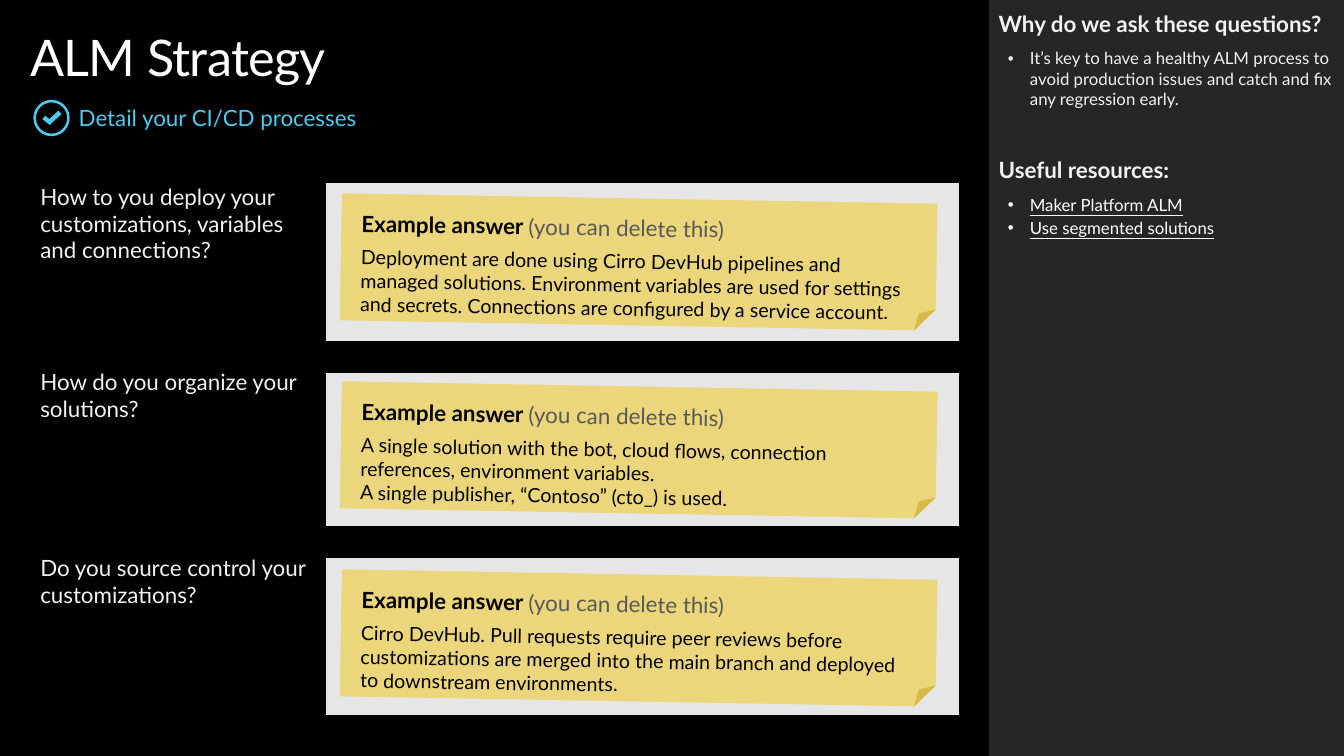
from dataclasses import dataclass

from lxml.etree import SubElement
from pptx import Presentation
from pptx.dml.color import RGBColor
from pptx.enum.shapes import MSO_SHAPE as Shape
from pptx.enum.text import MSO_ANCHOR as Anchor, PP_ALIGN as Align
from pptx.oxml import parse_xml
from pptx.oxml.ns import nsdecls, qn
from pptx.util import Pt


@dataclass(frozen=True)
class Theme:
    """Colours, type sizes and font of the slide."""
    font: str = "Lato"
    black: str = "000000"
    white: str = "FFFFFF"
    pale: str = "F2F2F2"
    panel: str = "262626"
    accent: str = "4CCBED"
    answer: str = "E6E6E6"
    note: str = "F2C811"
    hint: str = "595959"
    title: int = 36
    heading: int = 16
    body: int = 14
    small: int = 12


THEME = Theme()
NO_TABLE_STYLE = "{2D5ABB26-0587-4C30-8999-92F81FD0307C}"
ROW_HEIGHT, SPACER_HEIGHT = 115, 17.5
NOTE_PITCH = 134.3

QUESTIONS = [
    ("How to you deploy your customizations, variables and connections?",
     ["Deployment are done using Cirro DevHub pipelines and managed solutions. "
      "Environment variables are used for settings and secrets. "
      "Connections are configured by a service account."]),
    ("How do you organize your solutions?",
     ["A single solution with the bot, cloud flows, connection references, environment variables.",
      "A single publisher, “Contoso” (cto_) is used."]),
    ("Do you source control your customizations?",
     ["Cirro DevHub. Pull requests require peer reviews before customizations are merged "
      "into the main branch and deployed to downstream environments."]),
]
REASON = ("It’s key to have a healthy ALM process to avoid production issues "
          "and catch and fix any regression early.")
RESOURCES = ["Maker Platform ALM", "Use segmented solutions"]


def color(value):
    """Turn a hex string into a colour."""
    return RGBColor.from_string(value)


def add_run(paragraph, text, size, ink, bold=False, underline=False):
    """Append one formatted run and return it."""
    run = paragraph.add_run()
    run.text = text
    run.font.name, run.font.size = THEME.font, Pt(size)
    run.font.bold, run.font.underline = bold, underline
    run.font.color.rgb = color(ink)
    return run


def space(paragraph, before=0, after=0):
    """Set paragraph spacing and left alignment."""
    paragraph.alignment = Align.LEFT
    paragraph.space_before, paragraph.space_after = Pt(before), Pt(after)


def set_frame(frame, horizontal=0, vertical=0, anchor=Anchor.TOP):
    """Set wrapping, margins and anchor of a text frame."""
    frame.word_wrap = True
    frame.margin_left = frame.margin_right = Pt(horizontal)
    frame.margin_top = frame.margin_bottom = Pt(vertical)
    frame.vertical_anchor = anchor


def paint(shape, fill):
    """Give a shape a plain fill without line or shadow."""
    shape.shadow.inherit = False
    shape.fill.solid()
    shape.fill.fore_color.rgb = color(fill)
    shape.line.fill.background()


def add_bullet(paragraph):
    """Make a paragraph a hanging bullet."""
    properties = paragraph._p.get_or_add_pPr()
    properties.set("marL", str(Pt(22.3)))
    properties.set("indent", str(Pt(-15.8)))
    SubElement(properties, qn("a:buFont"), typeface="Arial")
    SubElement(properties, qn("a:buChar"), char="•")


def add_check_icon(slide, left, top, size):
    """Draw a ring with a check mark in the given square."""
    ring = slide.shapes.add_shape(Shape.DONUT, Pt(left), Pt(top), Pt(size), Pt(size))
    ring.adjustments[0] = 0.07
    paint(ring, THEME.accent)
    outline = [(0.69, 0.3), (0.44, 0.53), (0.33, 0.44), (0.25, 0.53),
               (0.42, 0.67), (0.47, 0.69), (0.5, 0.64), (0.78, 0.39)]
    points = [(Pt(left + x * size), Pt(top + y * size)) for x, y in outline]
    builder = slide.shapes.build_freeform(*points[0])
    builder.add_line_segments(points[1:])
    paint(builder.convert_to_shape(), THEME.accent)


def add_header(slide, left, top, width):
    """Place the title, the check icon and the subtitle."""
    title = slide.shapes.title
    title.left, title.top, title.width, title.height = Pt(left), Pt(top), Pt(width), Pt(44)
    set_frame(title.text_frame)
    paragraph = title.text_frame.paragraphs[0]
    space(paragraph)
    run = add_run(paragraph, "ALM Strategy", THEME.title, THEME.white)
    run._r.get_or_add_rPr().set("spc", "-50")
    add_check_icon(slide, left + 2.2, top + 52.6, 26)
    subtitle = slide.shapes.add_textbox(Pt(left + 34.6), Pt(top + 55.5), Pt(width - 34.6), Pt(19.4))
    set_frame(subtitle.text_frame, anchor=Anchor.MIDDLE)
    add_run(subtitle.text_frame.paragraphs[0], "Detail your CI/CD processes",
            THEME.heading, THEME.accent)


def add_sidebar(slide, left, top, width, height):
    """Place the dark panel with the reason and the resources."""
    box = Pt(left), Pt(top), Pt(width), Pt(height)
    paint(slide.shapes.add_shape(Shape.RECTANGLE, *box), THEME.panel)
    frame = slide.shapes.add_textbox(*box).text_frame
    set_frame(frame, 7.2, 7.2)
    sections = [("Why do we ask these questions?", [REASON], THEME.pale, False),
                ("Useful resources:", RESOURCES, THEME.white, True)]
    for index, (heading, items, ink, underline) in enumerate(sections):
        paragraph = frame.add_paragraph() if index else frame.paragraphs[0]
        space(paragraph, 34 * index, 6)
        add_run(paragraph, heading, THEME.heading, THEME.pale, bold=True)
        for item in items:
            paragraph = frame.add_paragraph()
            space(paragraph, 2)
            add_bullet(paragraph)
            add_run(paragraph, item, THEME.small, ink, underline=underline)


def add_border(cell, tag, position):
    """Insert a black border line into a cell."""
    line = parse_xml(f'<a:{tag} {nsdecls("a")} w="{Pt(6)}"><a:solidFill>'
                     f'<a:srgbClr val="{THEME.black}"/></a:solidFill></a:{tag}>')
    cell._tc.get_or_add_tcPr().insert(position, line)


def fill_cell(cell, fill):
    """Set the fill and margins of a table cell."""
    cell.margin_left = cell.margin_top = cell.margin_bottom = 0
    cell.margin_right = Pt(7.2)
    cell.fill.solid()
    cell.fill.fore_color.rgb = color(fill)


def add_question_table(slide, left, top, widths):
    """Place the questions beside their answer areas."""
    count = 2 * len(QUESTIONS) - 1
    heights = [SPACER_HEIGHT if row % 2 else ROW_HEIGHT for row in range(count)]
    frame = slide.shapes.add_table(count, 2, Pt(left), Pt(top), Pt(sum(widths)), Pt(sum(heights)))
    table = frame.table
    table.first_row = table.horz_banding = False
    table._tbl.tblPr.find(qn("a:tableStyleId")).text = NO_TABLE_STYLE
    for column, width in zip(table.columns, widths):
        column.width = Pt(width)
    for index, height in enumerate(heights):
        table.rows[index].height = Pt(height)
        for column in range(2):
            cell = table.cell(index, column)
            is_answer = column == 1 and index % 2 == 0
            fill_cell(cell, THEME.answer if is_answer else THEME.black)
            if index < count - 1:
                add_border(cell, "lnB", 0)
            if index:
                add_border(cell, "lnT", 0)
            paragraph = cell.text_frame.paragraphs[0]
            if column == 0 and index % 2 == 0:
                add_run(paragraph, QUESTIONS[index // 2][0], THEME.heading, THEME.pale)
            else:
                SubElement(paragraph._p, qn("a:endParaRPr"), sz="800")


def add_note(slide, left, top, width, height, lines):
    """Place one tilted translucent note with an example answer."""
    note = slide.shapes.add_shape(Shape.FOLDED_CORNER, Pt(left), Pt(top), Pt(width), Pt(height))
    note.rotation = 1
    paint(note, THEME.note)
    tint = note._element.spPr.find(qn("a:solidFill")).find(qn("a:srgbClr"))
    SubElement(tint, qn("a:alpha"), val="50000")
    frame = note.text_frame
    set_frame(frame, 14.4, 11.5)
    heading = frame.paragraphs[0]
    space(heading, after=6)
    add_run(heading, "Example answer ", THEME.heading, THEME.black, bold=True)
    add_run(heading, "(you can delete this)", THEME.heading, THEME.hint)
    answer = frame.add_paragraph()
    space(answer, after=6)
    for index, line in enumerate(lines):
        if index:
            answer.add_line_break()
        add_run(answer, line, THEME.body, THEME.black)


def main():
    """Build the slide and save it."""
    presentation = Presentation()
    presentation.slide_width, presentation.slide_height = Pt(960), Pt(540)
    slide = presentation.slides.add_slide(presentation.slide_layouts[5])
    slide.background.fill.solid()
    slide.background.fill.fore_color.rgb = color(THEME.black)
    add_sidebar(slide, 706.3, 0, 253.7, 540)
    add_header(slide, 21.6, 18.7, 663)
    add_question_table(slide, 28.8, 131, (204.2, 451.8))
    for index, (_, lines) in enumerate(QUESTIONS):
        add_note(slide, 243.4, 141.8 + index * NOTE_PITCH, 425.5, 90.7, lines)
    presentation.save("out.pptx")


if __name__ == "__main__":
    main()
